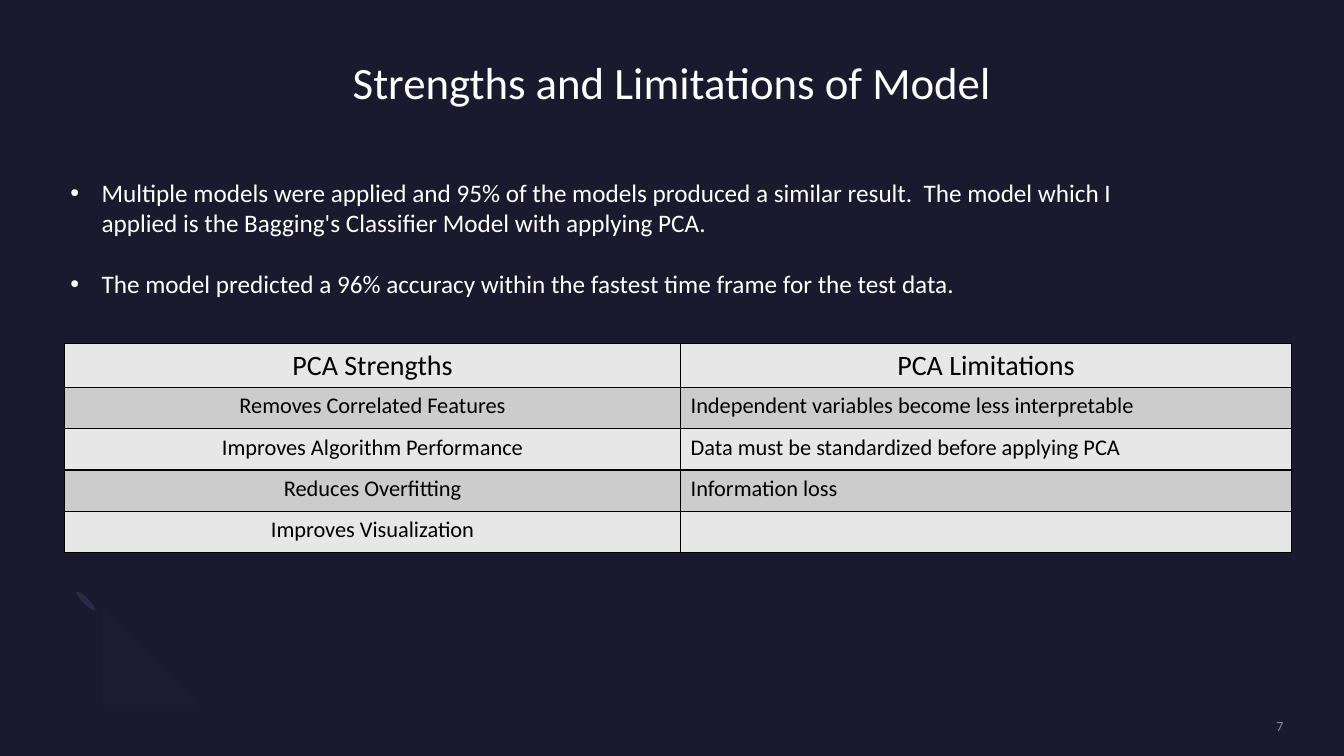
import pptx
import pptx.util
import pptx.dml.color
import pptx.enum.shapes
import pptx.enum.text
import pptx.oxml
import pptx.oxml.ns

TITLE = "Strengths and Limitations of Model"
NUMBER = "7"
POINTS = [
    "Multiple models were applied and 95% of the models produced a similar result.  "
    "The model which I applied is the Bagging's Classifier Model with applying PCA.",
    "The model predicted a 96% accuracy within the fastest time frame for the test data.",
]
ROWS = [
    ("PCA Strengths", "PCA Limitations"),
    ("Removes Correlated Features", "Independent variables become less interpretable"),
    ("Improves Algorithm Performance", "Data must be standardized before applying PCA"),
    ("Reduces Overfitting", "Information loss"),
    ("Improves Visualization", ""),
]
COLS = [6.11, 6.06]
BANDS = ["E7E7E7", "CCCCCC"]
DOTS = [(1.35, 6.37), (0.82, 5.83)]
ARC = [
    [(0.76, 6.59), (0.56, 6.39), (0.58, 6.05), (0.81, 5.82)],
    [(0.99, 6), (0.87, 6.11), (0.86, 6.29), (0.96, 6.38)],
    [(0.96, 6.38), (1.06, 6.48), (1.23, 6.47), (1.35, 6.36)],
    [(1.52, 6.54), (1.3, 6.76), (0.95, 6.79), (0.76, 6.59)],
]
WIDE, HIGH, LEFT = 13.33, 7.5, 0.6
INNER = WIDE - 2 * LEFT

Inch, Pt = pptx.util.Inches, pptx.util.Pt
Align = pptx.enum.text.PP_ALIGN
Anchor = pptx.enum.text.MSO_ANCHOR
Oval = pptx.enum.shapes.MSO_SHAPE.OVAL
NS = pptx.oxml.ns.nsdecls("a")


def tint(code):
    return pptx.dml.color.RGBColor.from_string(code)


def apply(part, **vals):
    for key, val in vals.items():
        setattr(part, key, val)


def place(part, *box):
    apply(part, **dict(zip(("left", "top", "width", "height"), map(Inch, box))))


def write(para, text, size, color, **vals):
    apply(para, **vals)
    run = para.add_run()
    run.text = text
    apply(run.font, size=Pt(size), name="Calibri")
    run.font.color.rgb = tint(color)


def paint(shape, color):
    shape.shadow.inherit = False
    shape.fill.solid()
    shape.fill.fore_color.rgb = tint(color)
    shape.line.fill.background()


def pad(frame, gap, anchor):
    sides = ("left", "top", "right", "bottom")
    apply(frame, word_wrap=True, vertical_anchor=anchor,
          **{"margin_" + side: Inch(gap) for side in sides})


def curve(ends, steps=12):
    a, b, c, d = ends
    for i in range(steps + 1):
        t = i / steps
        u = 1 - t
        yield tuple(u**3 * a[k] + 3 * u * u * t * b[k] + 3 * u * t * t * c[k] + t**3 * d[k]
                    for k in (0, 1))


def bullet(para):
    props = para._p.get_or_add_pPr()
    props.set("marL", str(Inch(0.31)))
    props.set("indent", str(-Inch(0.31)))
    for xml in ('<a:buFont %s typeface="Arial"/>', '<a:buChar %s char="&#8226;"/>'):
        props.append(pptx.oxml.parse_xml(xml % NS))


def border(cell):
    props = cell._tc.get_or_add_tcPr()
    for side in "LRTB":
        props.append(pptx.oxml.parse_xml(
            f'<a:ln{side} {NS} w="12700"><a:solidFill><a:srgbClr val="000000"/>'
            f'</a:solidFill></a:ln{side}>'))


deck = pptx.Presentation()
apply(deck, slide_width=Inch(WIDE), slide_height=Inch(HIGH))
slide = deck.slides.add_slide(deck.slide_layouts[5])
slide.background.fill.solid()
slide.background.fill.fore_color.rgb = tint("1B192E")
shapes = slide.shapes

for x, y in DOTS:
    dot = shapes.add_shape(Oval, Inch(x), Inch(y), Inch(0.06), Inch(0.26))
    dot.rotation = 135
    paint(dot, "2C284A")

edge = [spot for ends in ARC for spot in curve(ends)]
form = shapes.build_freeform(*edge[0], scale=Inch(1))
form.add_line_segments(edge[1:], close=True)
paint(form.convert_to_shape(), "1D1B31")

title = shapes.title
place(title, LEFT, 0.6, INNER, 1.46)
pad(title.text_frame, 0, Anchor.TOP)
write(title.text_frame.paragraphs[0], TITLE, 32, "FFFFFF",
      alignment=Align.CENTER, line_spacing=0.9)

page = shapes.add_textbox(Inch(10.88), Inch(7.12), Inch(1.85), Inch(0.17))
pad(page.text_frame, 0, Anchor.MIDDLE)
write(page.text_frame.paragraphs[0], NUMBER, 10, "8A8A8E", alignment=Align.RIGHT)

body = shapes.add_textbox(Inch(LEFT), Inch(1.71), Inch(10.84), Inch(1.62)).text_frame
body.word_wrap = True
for i, text in enumerate(POINTS):
    para = body.add_paragraph() if i else body.paragraphs[0]
    write(para, text, 18, "FFFFFF", space_before=Pt(22 * i))
    bullet(para)

table = shapes.add_table(len(ROWS), len(COLS), Inch(0.64), Inch(3.41),
                         Inch(sum(COLS)), Inch(0.41 * len(ROWS))).table
for col, width in zip(table.columns, COLS):
    col.width = Inch(width)
for r, row in enumerate(ROWS):
    for c, text in enumerate(row):
        cell = table.cell(r, c)
        border(cell)
        cell.fill.solid()
        cell.fill.fore_color.rgb = tint(BANDS[r % 2])
        if text:
            write(cell.text_frame.paragraphs[0], text, 16 if r else 20, "000000",
                  alignment=Align.LEFT if r and c else Align.CENTER)
            cell.text_frame.paragraphs[0].runs[0].font.bold = False

deck.save("out.pptx")
